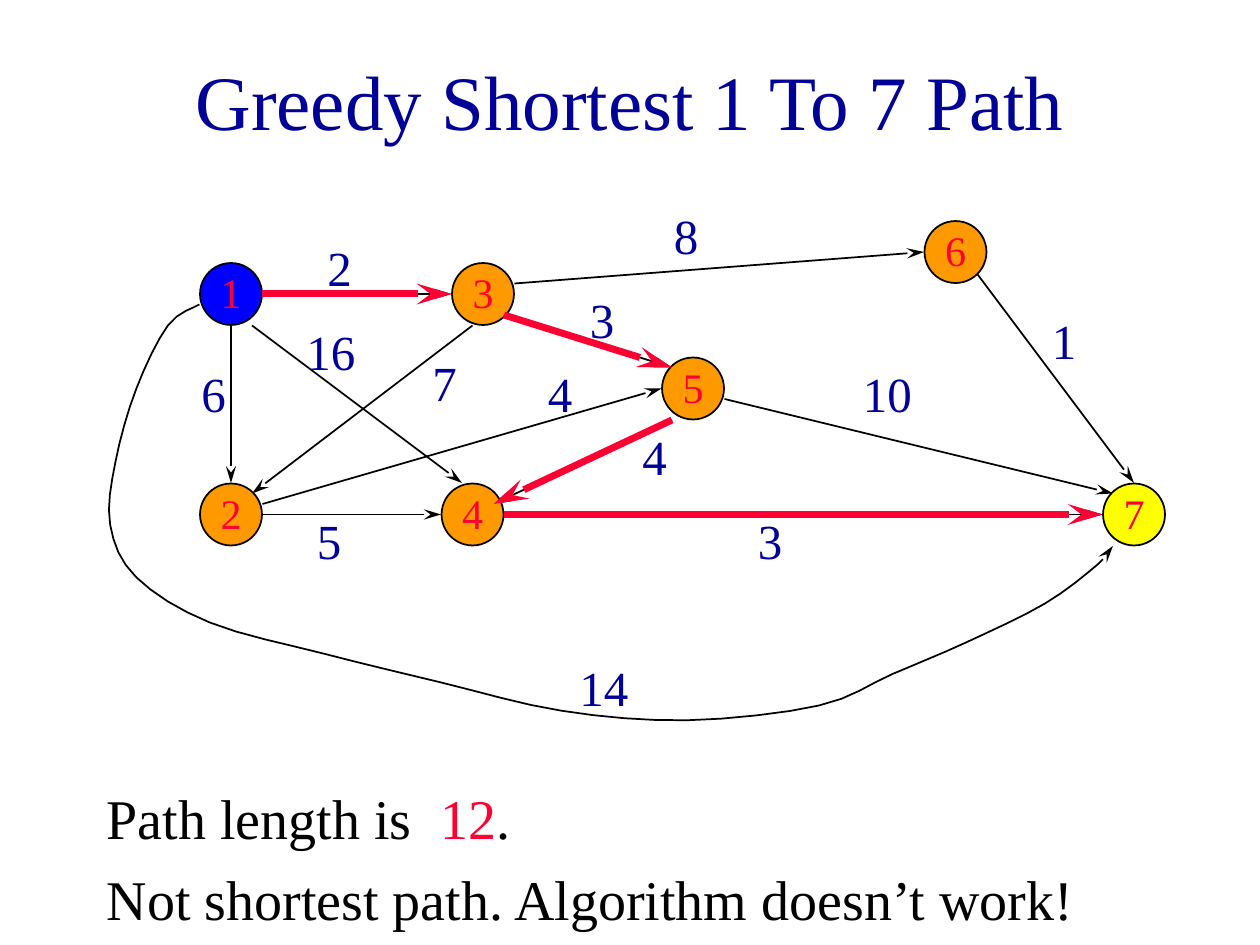
from dataclasses import dataclass

from lxml.etree import SubElement
from pptx import Presentation
from pptx.dml.color import RGBColor
from pptx.enum.shapes import MSO_CONNECTOR as Link, MSO_SHAPE as Preset
from pptx.enum.text import MSO_ANCHOR as Anchor, MSO_AUTO_SIZE as Fit, PP_ALIGN as Align
from pptx.oxml.ns import qn
from pptx.util import Cm, Pt

FONT = "Times New Roman"
NAVY = RGBColor(0x00, 0x00, 0x99)
RED = RGBColor(0xFF, 0x00, 0x33)
BLACK = RGBColor(0x00, 0x00, 0x00)
BLUE = RGBColor(0x00, 0x00, 0xFF)
ORANGE = RGBColor(0xFF, 0x99, 0x00)
YELLOW = RGBColor(0xFF, 0xFF, 0x00)

GRID_STEP = Cm(2.54) / 12
DIAMETER = 5.9
LABEL_HEIGHT = 6.8
CURVE_PRECISION = 100
CURVE_SAMPLES = 4

TOP, LEFT, BOTTOM, RIGHT = (0, -3), (-3, 0), (0, 3), (3, 0)
UPPER_LEFT, UPPER_RIGHT, LOWER_RIGHT = (-2, -2), (2, -2), (2, 2)

TITLE_FRAME = {"vertical_anchor": Anchor.MIDDLE, "word_wrap": True}
NODE_FRAME = {"vertical_anchor": Anchor.MIDDLE, "word_wrap": False, "margin_left": 0,
              "margin_right": 0, "margin_top": 0, "margin_bottom": Cm(0.08)}
LABEL_FRAME = {"word_wrap": True, "auto_size": Fit.SHAPE_TO_FIT_TEXT}
BODY_FRAME = {"word_wrap": True, "auto_size": Fit.NONE}


@dataclass
class Edge:
    source: str
    leave: tuple
    target: str
    arrive: tuple
    weight: str
    label: tuple
    greedy: bool = False

    def ends(self):
        return (*shift(CENTERS[self.source], self.leave),
                *shift(CENTERS[self.target], self.arrive))


CENTERS = {"1": (22, 28), "2": (22, 49), "3": (46, 28), "4": (45, 49),
           "5": (66, 37), "6": (91, 24), "7": (108, 49)}
END_COLORS = {"1": BLUE, "7": YELLOW}

EDGES = [
    Edge("1", RIGHT, "3", LEFT, "2", (30, 22), greedy=True),
    Edge("3", LOWER_RIGHT, "5", UPPER_LEFT, "3", (55, 27), greedy=True),
    Edge("5", (-2, 3), "4", (2, -1), "4", (60, 40), greedy=True),
    Edge("4", RIGHT, "7", LEFT, "3", (71, 48), greedy=True),
    Edge("1", BOTTOM, "2", TOP, "6", (18, 34)),
    Edge("1", (2, 3), "4", (-1, -3), "16", (28, 30)),
    Edge("3", (-1, 3), "2", UPPER_RIGHT, "7", (40, 33)),
    Edge("3", (3, -1), "6", LEFT, "8", (63, 19)),
    Edge("5", (3, 1), "7", UPPER_LEFT, "10", (81, 34)),
    Edge("2", (3, -1), "5", LEFT, "4", (51, 34)),
    Edge("2", RIGHT, "4", LEFT, "5", (29, 48)),
    Edge("6", LOWER_RIGHT, "7", TOP, "1", (99, 29)),
]
DETOUR = Edge("1", (-3, 1), "7", (-2, 3), "14", (54, 62))
DETOUR_WAYPOINTS = [(16, 31), (13, 37), (11, 44), (10.5, 50), (13, 55), (20, 59.3),
                    (31, 62.3), (42, 65), (53.5, 67.7), (65.5, 68.6), (78, 67.2),
                    (85, 64.2), (92, 61.2), (99.5, 57.5), (104.5, 53.8)]

BODY = [
    [("Path length is  ", BLACK), ("12", RED), (".", BLACK)],
    [("Not shortest path. Algorithm doesn’t work!", BLACK)],
]


def shift(point, offset):
    return point[0] + offset[0], point[1] + offset[1]


def steps(*counts):
    return [round(count * GRID_STEP) for count in counts]


def apply(target, values):
    for name, value in values.items():
        setattr(target, name, value)


def write(para, spans, size, values):
    apply(para, values)
    for text, color in spans:
        span = para.add_run()
        span.text = text
        apply(span.font, {"name": FONT, "size": Pt(size)})
        span.font.color.rgb = color


def set_line(shape, color, width, arrow=False):
    shape.line.color.rgb = color
    shape.line.width = Pt(width)
    if arrow:
        outline = shape.line._get_or_add_ln()
        SubElement(outline, qn("a:tailEnd"), type="stealth", w="med", len="lg")


def spline(points):
    padded = [points[0], *points, points[-1]]
    smooth = [points[0]]
    for before, start, end, after in zip(padded, padded[1:], padded[2:], padded[3:]):
        for sample in range(1, CURVE_SAMPLES + 1):
            t = sample / CURVE_SAMPLES
            smooth.append(tuple(
                b + (c - a) * t / 2
                + (2 * a - 5 * b + 4 * c - d) * t ** 2 / 2
                + (3 * b - a - 3 * c + d) * t ** 3 / 2
                for a, b, c, d in zip(before, start, end, after)))
    return smooth


def add_title(page, text):
    title = page.shapes.title
    title.left, title.top, title.width, title.height = steps(9, 2, 102, 15)
    apply(title.text_frame, TITLE_FRAME)
    write(title.text_frame.paragraphs[0], [(text, NAVY)], 44, {"alignment": Align.CENTER})


def add_arrow(page, edge, color, width):
    arrow = page.shapes.add_connector(Link.STRAIGHT, *steps(*edge.ends()))
    set_line(arrow, color, width, arrow=True)
    SubElement(arrow._element.spPr, qn("a:effectLst"))


def add_node(page, name, center):
    corner = shift(center, (-DIAMETER / 2, -DIAMETER / 2))
    node = page.shapes.add_shape(Preset.OVAL, *steps(*corner, DIAMETER, DIAMETER))
    node.shadow.inherit = False
    node.fill.solid()
    node.fill.fore_color.rgb = END_COLORS.get(name, ORANGE)
    set_line(node, BLACK, 1)
    apply(node.text_frame, NODE_FRAME)
    write(node.text_frame.paragraphs[0], [(name, RED)], 24, {"alignment": Align.CENTER})


def add_curved_arrow(page, edge, waypoints):
    ends = edge.ends()
    points = [(x * CURVE_PRECISION, y * CURVE_PRECISION)
              for x, y in spline([ends[:2], *waypoints, ends[2:]])]
    builder = page.shapes.build_freeform(*points[0], scale=GRID_STEP / CURVE_PRECISION)
    builder.add_line_segments(points[1:], close=False)
    curve = builder.convert_to_shape()
    curve.shadow.inherit = False
    curve.fill.background()
    set_line(curve, BLACK, 1, arrow=True)


def add_weight(page, edge):
    width = 2 + 3 * len(edge.weight)
    box = page.shapes.add_textbox(*steps(*edge.label, width, LABEL_HEIGHT))
    apply(box.text_frame, LABEL_FRAME)
    write(box.text_frame.paragraphs[0], [(edge.weight, NAVY)], 28,
          {"space_before": Pt(17.5)})


def add_body(page):
    frame = page.shapes.add_textbox(*steps(9, 74, 102, 15)).text_frame
    apply(frame, BODY_FRAME)
    hanging = Cm(0.96)
    for index, spans in enumerate(BODY):
        para = frame.add_paragraph() if index else frame.paragraphs[0]
        write(para, spans, 32, {"space_before": Pt(8)})
        properties = para._p.get_or_add_pPr()
        properties.set("marL", str(hanging))
        properties.set("indent", str(-hanging))


def main():
    deck = Presentation()
    deck.slide_width, deck.slide_height = Cm(25.4), Cm(19.05)
    page = deck.slides.add_slide(deck.slide_layouts[5])
    add_title(page, "Greedy Shortest 1 To 7 Path")
    for edge in EDGES:
        add_arrow(page, edge, BLACK, 1)
    for name, center in CENTERS.items():
        add_node(page, name, center)
    add_curved_arrow(page, DETOUR, DETOUR_WAYPOINTS)
    for edge in EDGES:
        if edge.greedy:
            add_arrow(page, edge, RED, 4)
    for edge in [*EDGES, DETOUR]:
        add_weight(page, edge)
    add_body(page)
    deck.save("out.pptx")


if __name__ == "__main__":
    main()
